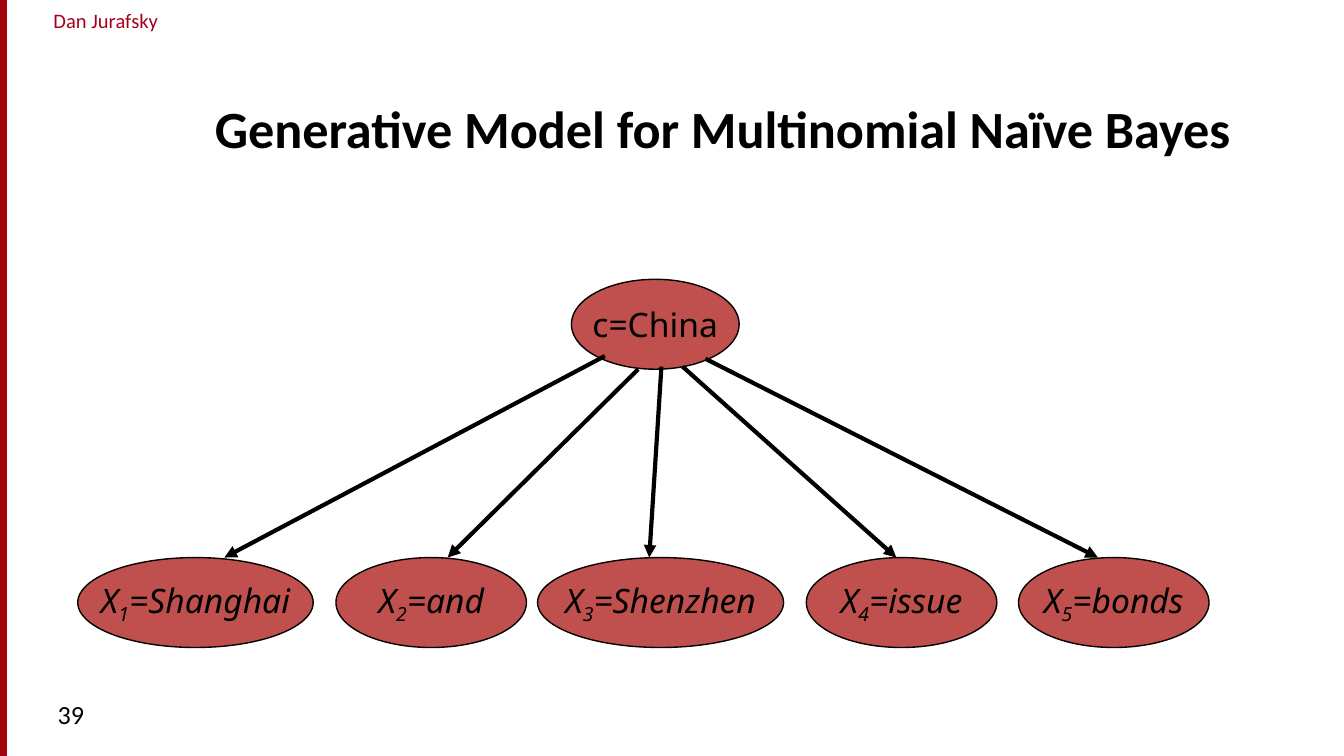
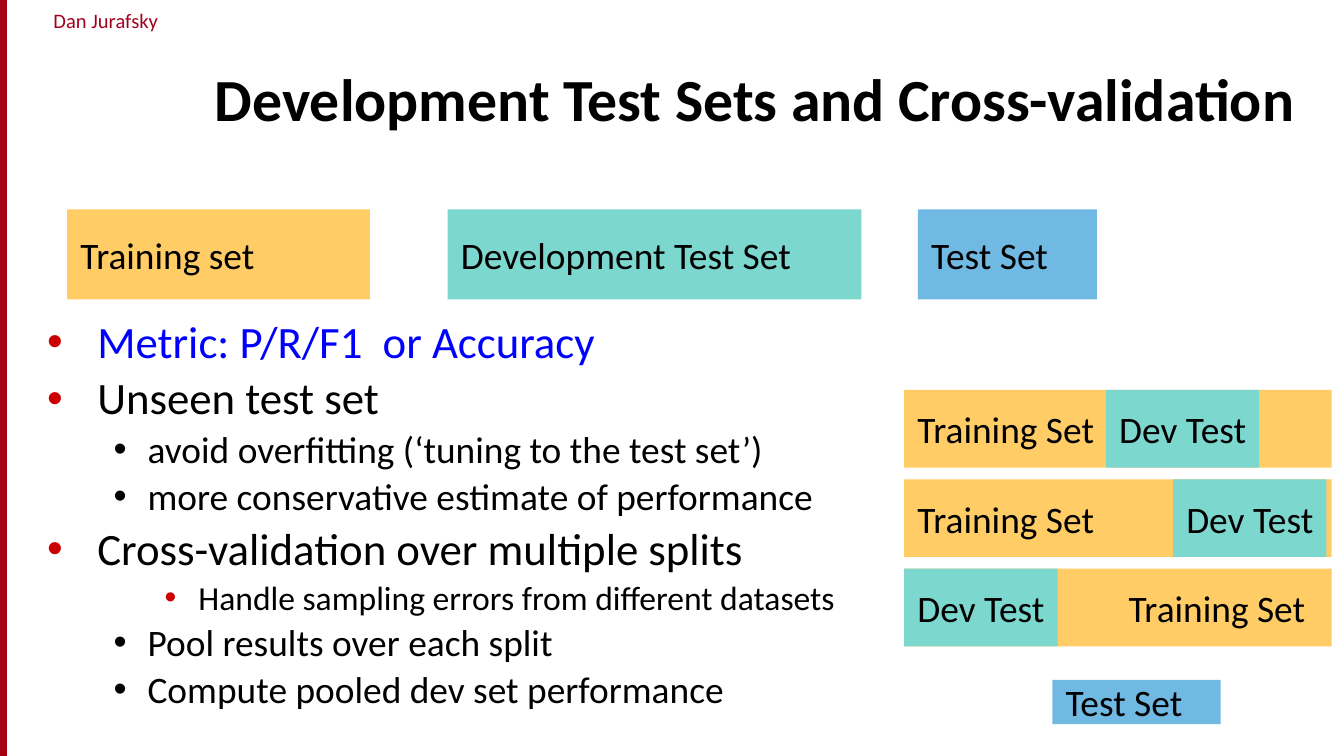
from lxml import etree
from pptx import Presentation
from pptx import util as u
from pptx.dml.color import RGBColor
from pptx.enum import shapes, text
from pptx.oxml.ns import qn

BLACK = RGBColor(0x00, 0x00, 0x00)
BLUE = RGBColor(0x00, 0x00, 0xFF)
HEADER_RED = RGBColor(0xA4, 0x00, 0x1D)
BAND_RED = RGBColor(0xA4, 0x05, 0x08)
BULLET_RED = RGBColor(0xCC, 0x00, 0x00)
NODE_RED = RGBColor(0xC0, 0x50, 0x4D)
TRAIN = RGBColor(0xFF, 0xCC, 0x66)
DEV = RGBColor(0x7C, 0xD7, 0xCF)
TEST = RGBColor(0x70, 0xB9, 0xE3)
OVAL, RECT = shapes.MSO_SHAPE.OVAL, shapes.MSO_SHAPE.RECTANGLE
LEFT, CENTER = text.PP_ALIGN.LEFT, text.PP_ALIGN.CENTER


def add_box(slide, kind, place, fill=None, line=None):
    """Add a preset shape, or a text box when kind is None, at place in cm."""
    place = [u.Cm(length) for length in place]
    if kind is None:
        box = slide.shapes.add_textbox(*place)
        box.text_frame.word_wrap = True
        return box
    box = slide.shapes.add_shape(kind, *place)
    box.shadow.inherit = False
    box.fill.solid()
    box.fill.fore_color.rgb = fill
    if line is None:
        box.line.fill.background()
    else:
        box.line.color.rgb = line
        box.line.width = u.Pt(0.75)
    box.text_frame.word_wrap = False
    box.text_frame.vertical_anchor = text.MSO_ANCHOR.MIDDLE
    return box


def write(paragraph, parts, size, font="Calibri", color=BLACK, align=LEFT):
    """Fill a paragraph with one run per part, all in the same style."""
    paragraph.alignment = align
    for part in parts:
        run = paragraph.add_run()
        run.text = part
        run.font.size = u.Pt(size)
        run.font.name = font
        run.font.color.rgb = color
    return paragraph.runs


prs = Presentation()
prs.slide_width, prs.slide_height = u.Cm(25.4), u.Cm(14.29)

# Shared header, side band and title
titles = [
    ("Generative Model for Multinomial Naïve Bayes", 28, 1.07, 20.75),
    ("Development Test Sets and Cross-validation", 32, 0.58, 21.59),
]
for title, size, top, width in titles:
    slide = prs.slides.add_slide(prs.slide_layouts[6])
    author = add_box(slide, None, (0.2, 0.03, 3.6, 0.74)).text_frame
    author.margin_left = author.margin_right = 0
    write(author.paragraphs[0], ["Dan Jurafsky"], 11, color=HEADER_RED, align=CENTER)
    add_box(slide, RECT, (0, 0, 0.13, 14.29), BAND_RED, HEADER_RED)
    heading = add_box(slide, None, (3.81, top, width, 2.06)).text_frame
    heading.vertical_anchor = text.MSO_ANCHOR.BOTTOM
    write(heading.paragraphs[0], [title], size)[0].font.bold = True

model_slide, sets_slide = prs.slides

# Slide 1: page number and class node
page_number = add_box(model_slide, None, (0.84, 13.08, 5.51, 0.97))
write(page_number.text_frame.paragraphs[0], ["39"], 14)
class_node = add_box(model_slide, OVAL, (10.8, 5.28, 3.17, 1.7), NODE_RED, BLACK)
write(class_node.text_frame.paragraphs[0], ["c=China"], 18, "Noto Sans", align=CENTER)

# Slide 1: word nodes, each with its arrow from the class
WORD_TOP = 10.54
words = [  # word, left, width, arrow start x, arrow start y, arrow end x
    ("Shanghai", 1.47, 4.45, 11.43, 6.73, 4.24),
    ("and", 6.35, 3.6, 12.06, 6.98, 8.46),
    ("Shenzhen", 10.16, 4.65, 12.5, 6.93, 12.27),
    ("issue", 15.24, 3.6, 12.9, 6.93, 16.94),
    ("bonds", 19.25, 3.6, 13.33, 6.78, 20.75),
]
for number, (word, left, width, start_x, start_y, end_x) in enumerate(words, 1):
    node = add_box(model_slide, OVAL, (left, WORD_TOP, width, 1.7), NODE_RED, BLACK)
    runs = write(node.text_frame.paragraphs[0], ["X", str(number), f"={word}"],
                 18, "Noto Sans", align=CENTER)
    for run in runs:
        run.font.italic = True
    runs[1].font._element.set("baseline", "-25000")

    arrow = model_slide.shapes.add_connector(
        shapes.MSO_CONNECTOR.STRAIGHT,
        u.Cm(start_x), u.Cm(start_y), u.Cm(end_x), u.Cm(WORD_TOP))
    arrow.line.color.rgb = BLACK
    arrow.line.width = u.Pt(2.25)
    etree.SubElement(arrow.line._get_or_add_ln(), qn("a:tailEnd"), type="triangle")
    etree.SubElement(arrow._element.spPr, qn("a:effectLst"))

# Slide 2: bullets
points = [  # text, level, size, text colour, bullet colour, indent, hanging
    ("Metric: P/R/F1  or Accuracy", 0, 24, BLUE, BULLET_RED, 0.95, 0.95),
    ("Unseen test set", 0, 24, BLACK, BULLET_RED, 0.95, 0.95),
    ("avoid overfitting (‘tuning to the test set’)", 1, 20, BLACK, BLACK, 1.9, 0.64),
    ("more conservative estimate of performance", 1, 20, BLACK, BLACK, 1.9, 0.64),
    ("Cross-validation over multiple splits", 1, 24, BLACK, BULLET_RED, 0.95, 0.95),
    ("Handle sampling errors from different datasets", 2, 18, BLACK, BULLET_RED, 2.86, 0.64),
    ("Pool results over each split", 1, 20, BLACK, BLACK, 1.9, 0.64),
    ("Compute pooled dev set performance", 1, 20, BLACK, BLACK, 1.9, 0.64),
]
body = add_box(sets_slide, None, (0.64, 5.92, 20.1, 8.37)).text_frame
for index, (point, level, size, color, bullet_color, indent, hanging) in enumerate(points):
    paragraph = body.add_paragraph() if index else body.paragraphs[0]
    write(paragraph, [point], size, color=color)
    paragraph.level = level
    paragraph.line_spacing = 0.9
    paragraph.space_before = u.Pt(0.18 * size)
    props = paragraph._p.get_or_add_pPr()
    props.set("marL", str(u.Cm(indent)))
    props.set("indent", str(-u.Cm(hanging)))
    bullet = etree.SubElement(props, qn("a:buClr"))
    etree.SubElement(bullet, qn("a:srgbClr"), val=str(bullet_color))
    etree.SubElement(props, qn("a:buFont"), typeface="Arial")
    etree.SubElement(props, qn("a:buChar"), char="•")

# Slide 2: data sets, then three splits with the dev part over the training part
SPLIT_LEFT = 17.09
bars = [  # label, place, fill, left margin
    ("Training set", (1.27, 3.96, 5.72, 1.7), TRAIN, 0.25),
    ("Development Test Set", (8.46, 3.96, 7.82, 1.7), DEV, 0.25),
    ("Test Set", (17.35, 3.96, 3.38, 1.7), TEST, 0.25),
    ("Test Set", (19.89, 12.85, 3.18, 0.84), TEST, 0.25),
]
for row, (dev_left, margin) in enumerate([(20.9, 0.25), (22.17, 0.25), (SPLIT_LEFT, 4.24)]):
    top = 7.37 + 1.69 * row
    bars.append(("Training Set", (SPLIT_LEFT, top, 8.08, 1.47), TRAIN, margin))
    bars.append(("Dev Test", (dev_left, top, 2.9, 1.47), DEV, 0.25))
for label, place, fill, margin in bars:
    bar = add_box(sets_slide, RECT, place, fill)
    bar.text_frame.margin_left = u.Cm(margin)
    write(bar.text_frame.paragraphs[0], [label], 20)

prs.save("out.pptx")
